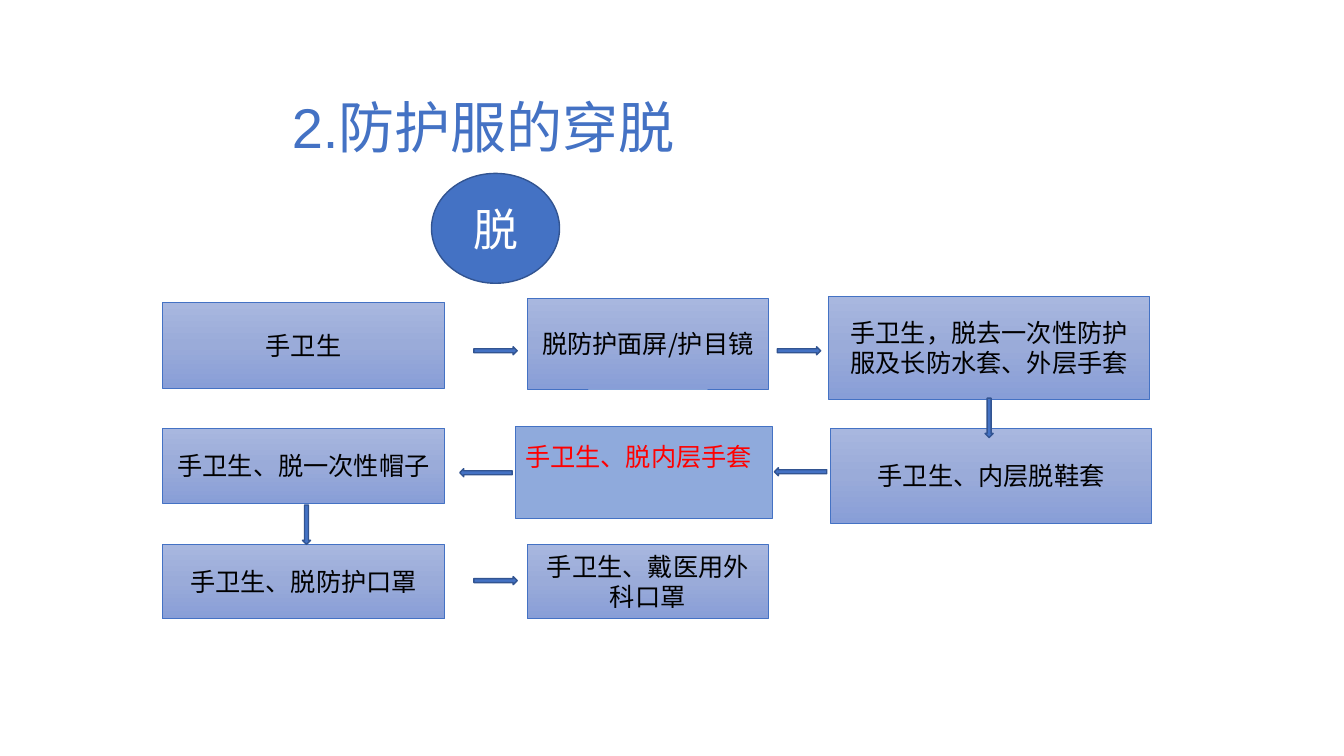
from copy import deepcopy
from dataclasses import dataclass

from lxml import etree
from pptx import Presentation
from pptx.dml.color import RGBColor
from pptx.enum import shapes, text
from pptx.oxml.ns import qn
from pptx.util import Inches, Pt


@dataclass(frozen=True)
class Theme:
    blue: str = "4472C4"
    outline: str = "325491"
    highlight: str = "8FAADC"
    gradient: tuple = ((0, "A8B7DF"), (0.5, "9AABD9"), (1, "889ED7"))
    black: str = "000000"
    white: str = "FFFFFF"
    red: str = "FF0000"
    latin_font: str = "Arial"
    cjk_font: str = "Noto Sans CJK SC"
    title_size: int = 40
    badge_size: int = 32
    step_size: int = 18


THEME = Theme()
SHAPE = shapes.MSO_SHAPE
CENTER, LEFT = text.PP_ALIGN.CENTER, text.PP_ALIGN.LEFT

# Wording, left, top, width, height
STEPS = [
    ("手卫生", 1.61, 3, 2.8, 0.85),
    ("脱防护面屏/护目镜", 5.23, 2.96, 2.39, 0.9),
    ("手卫生，脱去一次性防护服及长防水套、外层手套", 8.22, 2.94, 3.18, 1.02),
    ("手卫生、内层脱鞋套", 8.24, 4.25, 3.18, 0.94),
    ("手卫生、脱一次性帽子", 1.61, 4.25, 2.8, 0.74),
    ("手卫生、脱防护口罩", 1.61, 5.4, 2.8, 0.74),
    ("手卫生、戴医用外科口罩", 5.23, 5.4, 2.39, 0.74),
]
INNER_GLOVES = ("手卫生、脱内层手套", 5.11, 4.23, 2.55, 0.91)

ARROW_THICKNESS = 0.08
# Shape, left, top, length
ARROWS = [
    (SHAPE.RIGHT_ARROW, 4.7, 3.44, 0.43),
    (SHAPE.RIGHT_ARROW, 7.71, 3.44, 0.43),
    (SHAPE.DOWN_ARROW, 9.77, 3.95, 0.39),
    (SHAPE.LEFT_ARROW, 7.68, 4.64, 0.52),
    (SHAPE.LEFT_ARROW, 4.56, 4.65, 0.52),
    (SHAPE.DOWN_ARROW, 3, 5.01, 0.39),
    (SHAPE.RIGHT_ARROW, 4.7, 5.72, 0.43),
]


def rgb(value):
    return RGBColor.from_string(value)


def write(shape, wording, size, color, font_name=THEME.cjk_font, align=CENTER):
    frame = shape.text_frame
    frame.word_wrap = True
    paragraph = frame.paragraphs[0]
    paragraph.text = wording
    paragraph.alignment = align
    font = paragraph.font
    font.size = Pt(size)
    font.color.rgb = rgb(color)
    font.name = font_name
    east_asian = etree.SubElement(paragraph._p.pPr.find(qn("a:defRPr")), qn("a:ea"))
    east_asian.set("typeface", THEME.cjk_font)
    return frame


def add_figure(slide, kind, box, line_color, line_width, fill_color=THEME.blue):
    shape = slide.shapes.add_shape(kind, *map(Inches, box))
    shape.shadow.inherit = False
    shape.fill.solid()
    shape.fill.fore_color.rgb = rgb(fill_color)
    shape.line.color.rgb = rgb(line_color)
    shape.line.width = Pt(line_width)
    return shape


def apply_gradient(shape):
    """Fill the shape from top to bottom with the theme's three stops."""
    shape.fill.gradient()
    shape.fill.gradient_angle = 270
    stop_list = shape._element.spPr.find(".//" + qn("a:gsLst"))
    stop_list.insert(1, deepcopy(stop_list[0]))
    for stop, (position, color) in zip(shape.fill.gradient_stops, THEME.gradient):
        stop.position = position
        stop.color.rgb = rgb(color)


def add_title(slide, wording, box):
    title = slide.shapes.add_textbox(*map(Inches, box))
    frame = write(title, wording, THEME.title_size, THEME.blue, THEME.latin_font)
    frame.margin_left = frame.margin_right = Inches(0.05)
    frame.margin_top = frame.margin_bottom = Inches(0.02)


def add_badge(slide, wording, box):
    badge = add_figure(slide, SHAPE.OVAL, box, THEME.outline, 1)
    frame = write(badge, wording, THEME.badge_size, THEME.white)
    frame.vertical_anchor = text.MSO_ANCHOR.MIDDLE


def add_step(slide, wording, *box):
    step = add_figure(slide, SHAPE.RECTANGLE, box, THEME.blue, 0.5)
    apply_gradient(step)
    frame = write(step, wording, THEME.step_size, THEME.black)
    frame.vertical_anchor = text.MSO_ANCHOR.MIDDLE


def add_highlighted_step(slide, wording, *box):
    step = add_figure(slide, SHAPE.RECTANGLE, box, THEME.blue, 0.5, THEME.highlight)
    frame = write(step, wording, THEME.step_size, THEME.red, align=LEFT)
    frame.vertical_anchor = text.MSO_ANCHOR.TOP
    frame.margin_top = Inches(0.15)


def add_arrow(slide, kind, left, top, length):
    size = (length, ARROW_THICKNESS)
    if kind == SHAPE.DOWN_ARROW:
        size = size[::-1]
    add_figure(slide, kind, (left, top, *size), THEME.outline, 1)


def main():
    presentation = Presentation()
    presentation.slide_width = Inches(13.33)
    presentation.slide_height = Inches(7.5)
    slide = presentation.slides.add_slide(presentation.slide_layouts[6])

    add_title(slide, "2.防护服的穿脱", (2.53, 0.9, 4.52, 0.72))
    add_badge(slide, "脱", (4.28, 1.72, 1.27, 1.09))
    for step in STEPS:
        add_step(slide, *step)
    add_highlighted_step(slide, *INNER_GLOVES)
    for arrow in ARROWS:
        add_arrow(slide, *arrow)

    presentation.save("out.pptx")


if __name__ == "__main__":
    main()
